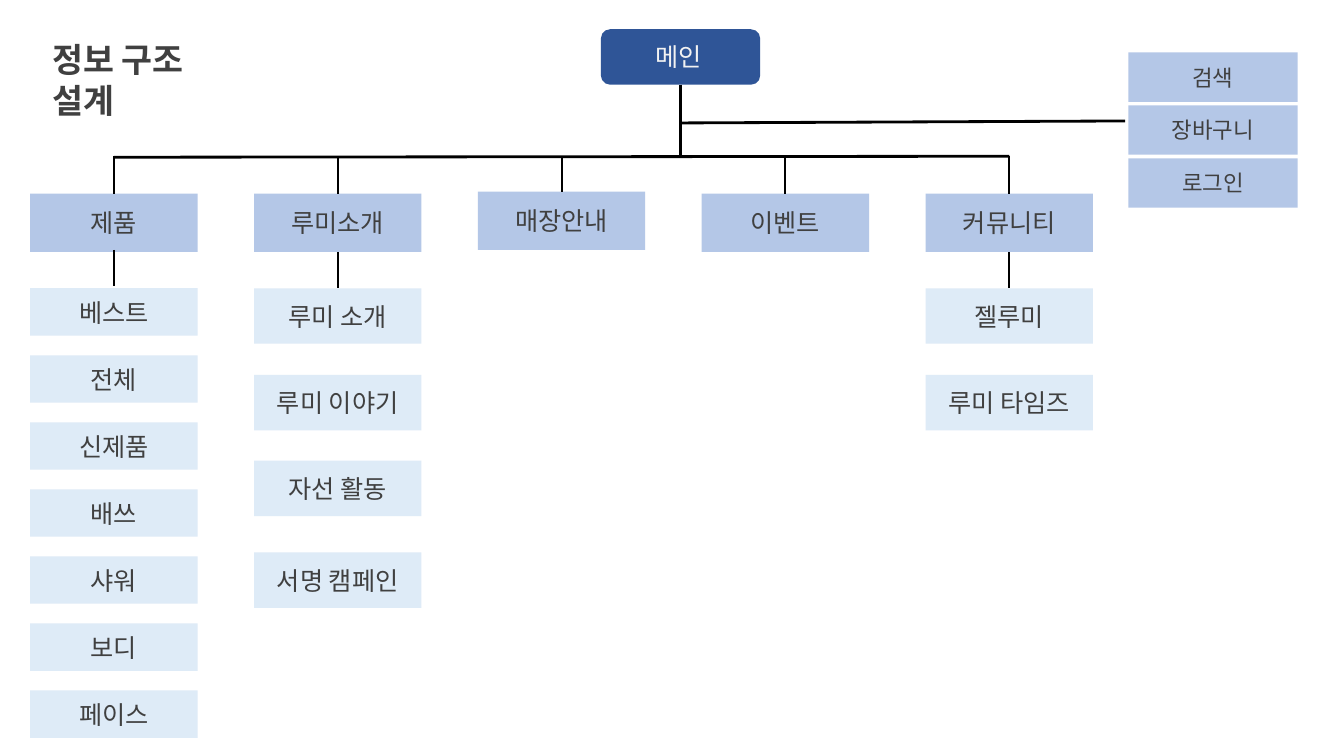
import dataclasses
import pptx
import pptx.dml.color
import pptx.enum.shapes
import pptx.enum.text
import pptx.oxml
import pptx.util

Inches = pptx.util.Inches
Kind = pptx.enum.shapes.MSO_SHAPE
Align = pptx.enum.text.PP_ALIGN


@dataclasses.dataclass(frozen=True)
class Theme:
    font: str = "Noto Sans CJK KR"
    navy: str = "2F5597"
    blue: str = "B4C7E7"
    pale: str = "DEEBF7"
    dark: str = "404040"
    light: str = "F2F2F2"
    black: str = "000000"
    head: float = 24
    body: float = 18
    small: float = 16
    thick: float = 2
    thin: float = 1.5


@dataclasses.dataclass(frozen=True)
class Box:
    left: float
    top: float
    width: float
    height: float


@dataclasses.dataclass(frozen=True)
class Branch:
    name: str
    top: float = 1.92
    pages: tuple[str, ...] = ()
    tops: tuple[float, ...] = ()
    height: float = 0.55
    stem: tuple[float, float] = (2.5, 2.86)


THEME = Theme()
LEFT, PITCH, WIDTH, HEIGHT = 0.3, 2.22, 1.66, 0.58
BUS, TRUNK = 1.55, 6.75

BRANCHES = (
    Branch("제품",
           pages=("베스트", "전체", "신제품", "배쓰", "샤워", "보디", "페이스"),
           tops=tuple(2.86 + 3.99 * row / 6 for row in range(7)),
           height=0.47, stem=(2.48, 2.84)),
    Branch("루미소개",
           pages=("루미 소개", "루미 이야기", "자선 활동", "서명 캠페인"),
           tops=(2.86, 3.72, 4.57, 5.48)),
    Branch("매장안내", top=1.9),
    Branch("이벤트"),
    Branch("커뮤니티", pages=("젤루미", "루미 타임즈"), tops=(2.86, 3.72)),
)
TOOLS = ("검색", "장바구니", "로그인")


def tint(code: str) -> pptx.dml.color.RGBColor:
    return pptx.dml.color.RGBColor.from_string(code)


def place(box: Box) -> tuple:
    return tuple(Inches(n) for n in dataclasses.astuple(box))


def write(frame, text: str, size: float, color: str, bold: bool = False,
          align=Align.LEFT) -> None:
    line = frame.paragraphs[0]
    line.text = text
    line.alignment = align
    line.font.name = THEME.font
    line.font.size = pptx.util.Pt(size)
    line.font.bold = bold
    line.font.color.rgb = tint(color)
    # East Asian letters take their own typeface entry
    for run in line.runs:
        face = pptx.oxml.parse_xml(
            '<a:ea xmlns:a="http://schemas.openxmlformats.org/drawingml/2006/main"'
            f' typeface="{THEME.font}"/>')
        run._r.get_or_add_rPr().append(face)


def block(slide, box: Box, fill: str, text: str = "",
          size: float = THEME.body, kind=Kind.RECTANGLE) -> None:
    shape = slide.shapes.add_shape(kind, *place(box))
    shape.shadow.inherit = False
    shape.fill.solid()
    shape.fill.fore_color.rgb = tint(fill)
    shape.line.fill.background()
    if text:
        shape.text_frame.vertical_anchor = pptx.enum.text.MSO_ANCHOR.MIDDLE
        write(shape.text_frame, text, size, THEME.dark, align=Align.CENTER)


def label(slide, box: Box, text: str, size: float, color: str,
          bold: bool = False, wrap: bool = False) -> None:
    frame = slide.shapes.add_textbox(*place(box)).text_frame
    frame.word_wrap = wrap
    frame.auto_size = pptx.enum.text.MSO_AUTO_SIZE.SHAPE_TO_FIT_TEXT
    write(frame, text, size, color, bold)


def link(slide, start: tuple[float, float], end: tuple[float, float],
         weight: float = THEME.thin) -> None:
    line = slide.shapes.add_connector(
        pptx.enum.shapes.MSO_CONNECTOR.STRAIGHT,
        *(Inches(n) for n in start + end))
    line.line.color.rgb = tint(THEME.black)
    line.line.width = pptx.util.Pt(weight)
    line._element.spPr.append(pptx.oxml.parse_xml(
        '<a:effectLst xmlns:a="http://schemas.openxmlformats.org/drawingml/2006/main"/>'))


def grow(slide, branch: Branch, left: float) -> None:
    mid = left + WIDTH / 2
    block(slide, Box(left, branch.top, WIDTH, HEIGHT), THEME.blue, branch.name)
    link(slide, (mid, BUS), (mid, branch.top))
    for page, top in zip(branch.pages, branch.tops):
        block(slide, Box(left, top, WIDTH, branch.height), THEME.pale, page)
    if branch.pages:
        link(slide, (mid, branch.stem[0]), (mid, branch.stem[1]))


def main() -> None:
    deck = pptx.Presentation()
    deck.slide_width, deck.slide_height = Inches(13.33), Inches(7.5)
    slide = deck.slides.add_slide(deck.slide_layouts[6])

    # Title and root
    label(slide, Box(0.42, 0.34, 2.1, 0.5), "정보 구조 설계",
          THEME.head, THEME.dark, bold=True, wrap=True)
    block(slide, Box(5.96, 0.29, 1.58, 0.55), THEME.navy,
          kind=Kind.ROUNDED_RECTANGLE)
    label(slide, Box(6.4, 0.36, 0.71, 0.4), "메인", THEME.body, THEME.light)

    # Menu branches with their pages
    for col, branch in enumerate(BRANCHES):
        grow(slide, branch, LEFT + PITCH * col)

    # Trunk, bus and side line
    first = LEFT + WIDTH / 2
    last = first + PITCH * (len(BRANCHES) - 1)
    link(slide, (first, BUS + 0.01), (last, BUS), THEME.thick)
    link(slide, (TRUNK, 0.84), (TRUNK, BUS), THEME.thick)
    link(slide, (11.16, 1.2), (TRUNK, 1.22), THEME.thick)

    # Tool menu
    for row, tool in enumerate(TOOLS):
        block(slide, Box(11.19, 0.52 + 0.525 * row, 1.68, 0.49),
              THEME.blue, tool, THEME.small)

    deck.save("out.pptx")


if __name__ == "__main__":
    main()
